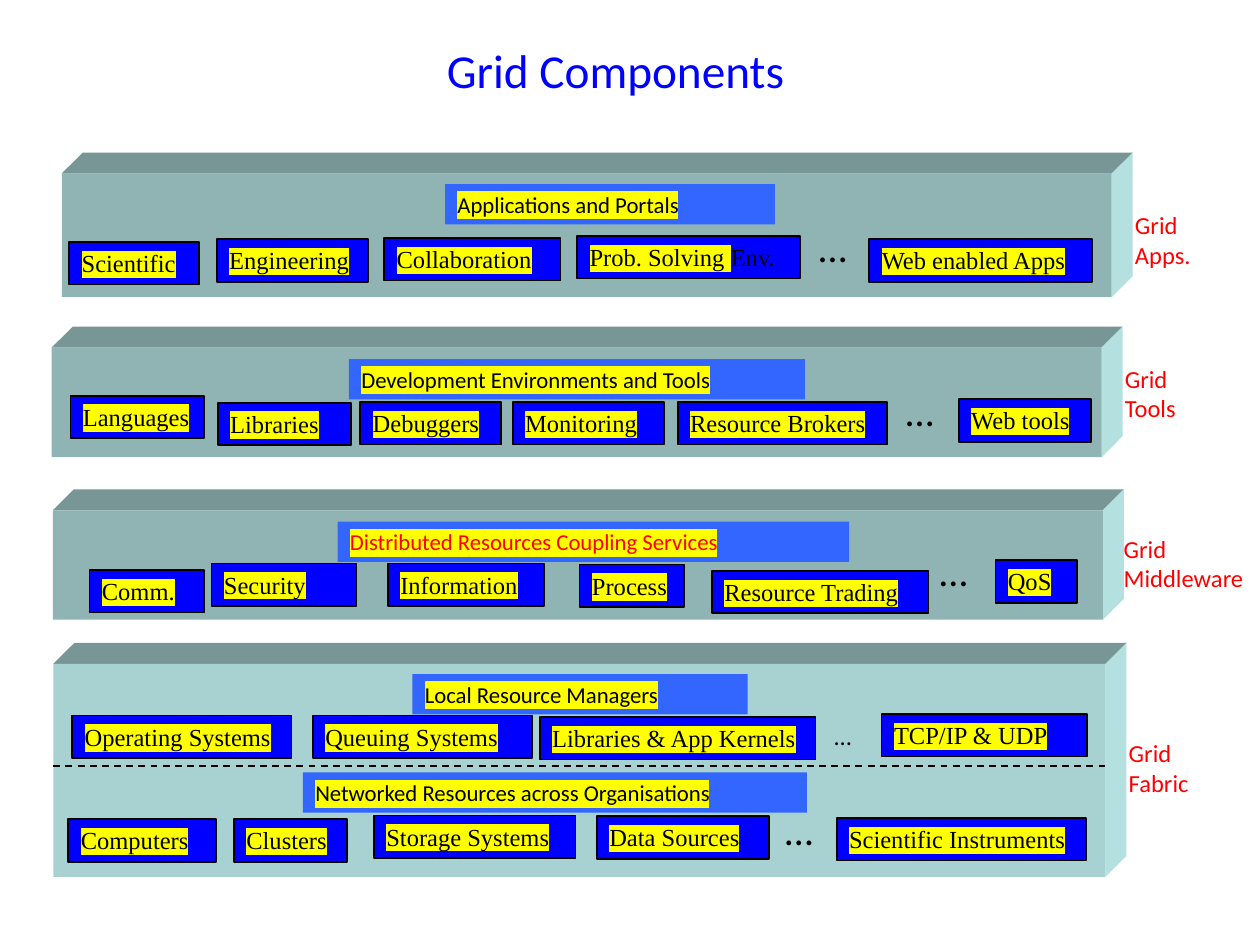
from lxml.etree import SubElement
from pptx import Presentation
from pptx.dml.color import RGBColor
from pptx.enum.dml import MSO_LINE
from pptx.enum.shapes import MSO_CONNECTOR, MSO_SHAPE
from pptx.enum.text import MSO_ANCHOR, MSO_AUTO_SIZE, PP_ALIGN
from pptx.oxml.ns import qn
from pptx.util import Pt

COLORS = {
    "title": "0000FF", "label": "FF0000", "text": "000000",
    "highlight": "FFFF00", "banner": "3366FF", "component": "0000FF",
    "front": "90B4B4", "fabric": "A8D2D2", "top": "789696", "side": "B4E0E0",
}
DEPTH = 12
COMPONENT_HEIGHT = 24.4
BANNER_HEIGHT = 23

LAYERS = [
    {"box": (35.3, 99.2, 600, 70.6), "front": "front",
     "label": ("Grid", "Apps.", 606.2, 17.5, 47),
     "banners": [("Applications and Portals", 219, 6, 188.6, "text")],
     "components": [
         ("Scientific", 4.3, 39, 74.2), ("Engineering", 88.6, 37.4, 86.4),
         ("Collaboration", 184.3, 36.7, 100.8),
         ("Prob. Solving |Env.", 294.5, 35.5, 127.4),
         ("Web enabled Apps", 461.5, 37.5, 127.4)],
     "dots": [(425.5, 24, 23)]},
    {"box": (29.5, 198.7, 600, 62.6), "front": "front",
     "label": ("Grid", "Tools", 606.2, 5.8, 44),
     "banners": [("Development Environments and Tools", 169.9, 6.5, 260.6, "text")],
     "components": [
         ("Languages", 10.8, 27.4, 76.3), ("Libraries", 95, 31.4, 76.3),
         ("Debuggers", 176.4, 31, 80.6), ("Monitoring", 263.5, 31, 86.4),
         ("Resource Brokers", 357.8, 31, 119.5), ("Web tools", 518.4, 29.3, 75.6)],
     "dots": [(481, 18.7, 23)]},
    {"box": (30.2, 291.6, 600, 62.6), "front": "front",
     "label": ("Grid", "Middleware", 604.8, 10, 84.5),
     "banners": [("Distributed Resources Coupling Services", 162.7, 6.5, 292.3, "label")],
     "components": [
         ("Comm.", 20.9, 34, 65.5), ("Security", 90.7, 30.4, 82.8),
         ("Information", 191.5, 30.4, 89.3), ("Process", 301, 31, 59.8),
         ("Resource Trading", 376.6, 34.5, 123.8), ("QoS", 538.6, 28.5, 46.8)],
     "dots": [(499.7, 17.3, 23)]},
    {"box": (30.5, 379.4, 601.2, 121.7), "front": "fabric",
     "label": ("Grid", "Fabric", 607.4, 39, 49),
     "banners": [
         ("Local Resource Managers", 205.2, 5.8, 191.5, "text"),
         ("Networked Resources across Organisations", 142.6, 62, 288, "text")],
     "components": [
         ("Operating Systems", 10.8, 29.5, 125.3), ("Queuing Systems", 148.3, 29.5, 125.3),
         ("Libraries & App Kernels", 277.9, 30.2, 157.7), ("TCP/IP & UDP", 473.3, 28.5, 117.4),
         ("Computers", 8.6, 88.6, 84.2), ("Clusters", 103.2, 88.6, 64.8),
         ("Storage Systems", 183.2, 86.6, 115.2), ("Data Sources", 310.6, 87, 98.6),
         ("Scientific Instruments", 447.6, 88, 142.6)],
     "dots": [(439.2, 29, 14), (411.1, 77, 23)],
     "divider": 58.4},
]


def color(name):
    """Return the named palette colour."""
    return RGBColor.from_string(COLORS[name])


def style_paragraph(paragraph, size, face, ink):
    """Set the font of a whole paragraph."""
    font = paragraph.font
    font.size, font.name = Pt(size), face
    font.color.rgb = color(ink)


def add_text(slide, lines, left, top, width, height, size, ink="text", wrap=True):
    """Place plain Calibri text, one paragraph per line."""
    caption = slide.shapes.add_textbox(Pt(left), Pt(top), Pt(width), Pt(height))
    frame = caption.text_frame
    frame.text = "\n".join(lines)
    frame.word_wrap = wrap
    for paragraph in frame.paragraphs:
        style_paragraph(paragraph, size, "Calibri", ink)
    return frame


def add_tile(slide, text, left, top, width, height, fill, size, face, ink="text"):
    """Place a filled box whose text is highlighted up to a bar sign."""
    tile = slide.shapes.add_shape(
        MSO_SHAPE.RECTANGLE, Pt(left), Pt(top), Pt(width), Pt(height))
    tile.shadow.inherit = False
    tile.fill.solid()
    tile.fill.fore_color.rgb = color(fill)
    tile.line.fill.background()
    frame = tile.text_frame
    frame.word_wrap = True
    frame.auto_size = MSO_AUTO_SIZE.SHAPE_TO_FIT_TEXT
    frame.vertical_anchor = MSO_ANCHOR.TOP
    paragraph = frame.paragraphs[0]
    paragraph.alignment = PP_ALIGN.LEFT
    style_paragraph(paragraph, size, face, ink)
    for index, part in enumerate(text.split("|")):
        run = paragraph.add_run()
        run.text = part
        if index == 0:
            highlight = SubElement(run._r.get_or_add_rPr(), qn("a:highlight"))
            SubElement(highlight, qn("a:srgbClr"), val=COLORS["highlight"])
    return tile


def add_face(slide, corners, fill):
    """Draw one flat face of a slab."""
    builder = slide.shapes.build_freeform(*map(Pt, corners[0]))
    builder.add_line_segments([(Pt(x), Pt(y)) for x, y in corners[1:]])
    face = builder.convert_to_shape()
    face.shadow.inherit = False
    face.fill.solid()
    face.fill.fore_color.rgb = color(fill)
    face.line.fill.background()


def add_slab(slide, left, top, width, height, front):
    """Draw a slab with its front, top and right faces."""
    right, bottom = left + width, top + height
    back_right, back_top = right + DEPTH, top - DEPTH
    add_face(slide, [(left, top), (left + DEPTH, back_top),
                     (back_right, back_top), (right, top)], "top")
    add_face(slide, [(right, top), (back_right, back_top),
                     (back_right, bottom - DEPTH), (right, bottom)], "side")
    slab = slide.shapes.add_shape(
        MSO_SHAPE.RECTANGLE, Pt(left), Pt(top), Pt(width), Pt(height))
    slab.shadow.inherit = False
    slab.fill.solid()
    slab.fill.fore_color.rgb = color(front)
    slab.line.fill.background()


def add_divider(slide, left, top, width):
    """Draw the dashed line across a slab."""
    divider = slide.shapes.add_connector(
        MSO_CONNECTOR.STRAIGHT, Pt(left), Pt(top), Pt(left + width), Pt(top))
    divider.line.color.rgb = color("text")
    divider.line.width = Pt(1)
    divider.line.dash_style = MSO_LINE.DASH
    SubElement(divider._element.spPr, qn("a:effectLst"))


def add_layer(slide, layer):
    """Place one grid layer with its banners, components and label."""
    left, top, width, height = layer["box"]
    add_slab(slide, left, top, width, height, layer["front"])
    for text, x, y, banner_width, ink in layer["banners"]:
        add_tile(slide, text, left + x, top + y, banner_width, BANNER_HEIGHT,
                 "banner", 13, "Calibri", ink)
    for text, x, y, component_width in layer["components"]:
        component = add_tile(slide, text, left + x, top + y, component_width,
                             COMPONENT_HEIGHT, "component", 14, "Times New Roman")
        component.line.color.rgb = color("text")
        component.line.width = Pt(1)
    for x, y, size in layer["dots"]:
        add_text(slide, ["…"], left + x, top + y, 36.7, size * 1.5, size)
    if "divider" in layer:
        add_divider(slide, left, top + layer["divider"], width)
    *words, x, y, label_width = layer["label"]
    label = add_text(slide, words, left + x, top + y, label_width, 41, 14, "label", wrap=False)
    label.auto_size = MSO_AUTO_SIZE.SHAPE_TO_FIT_TEXT


def main():
    """Build the slide and save it."""
    presentation = Presentation()
    presentation.slide_width, presentation.slide_height = Pt(720), Pt(540)
    slide = presentation.slides.add_slide(presentation.slide_layouts[6])
    title = add_text(slide, ["Grid Components"], 22.3, 5.8, 658.8, 68.4, 27, "title")
    title.vertical_anchor = MSO_ANCHOR.MIDDLE
    title.paragraphs[0].alignment = PP_ALIGN.CENTER
    for layer in LAYERS:
        add_layer(slide, layer)
    presentation.save("out.pptx")


if __name__ == "__main__":
    main()
